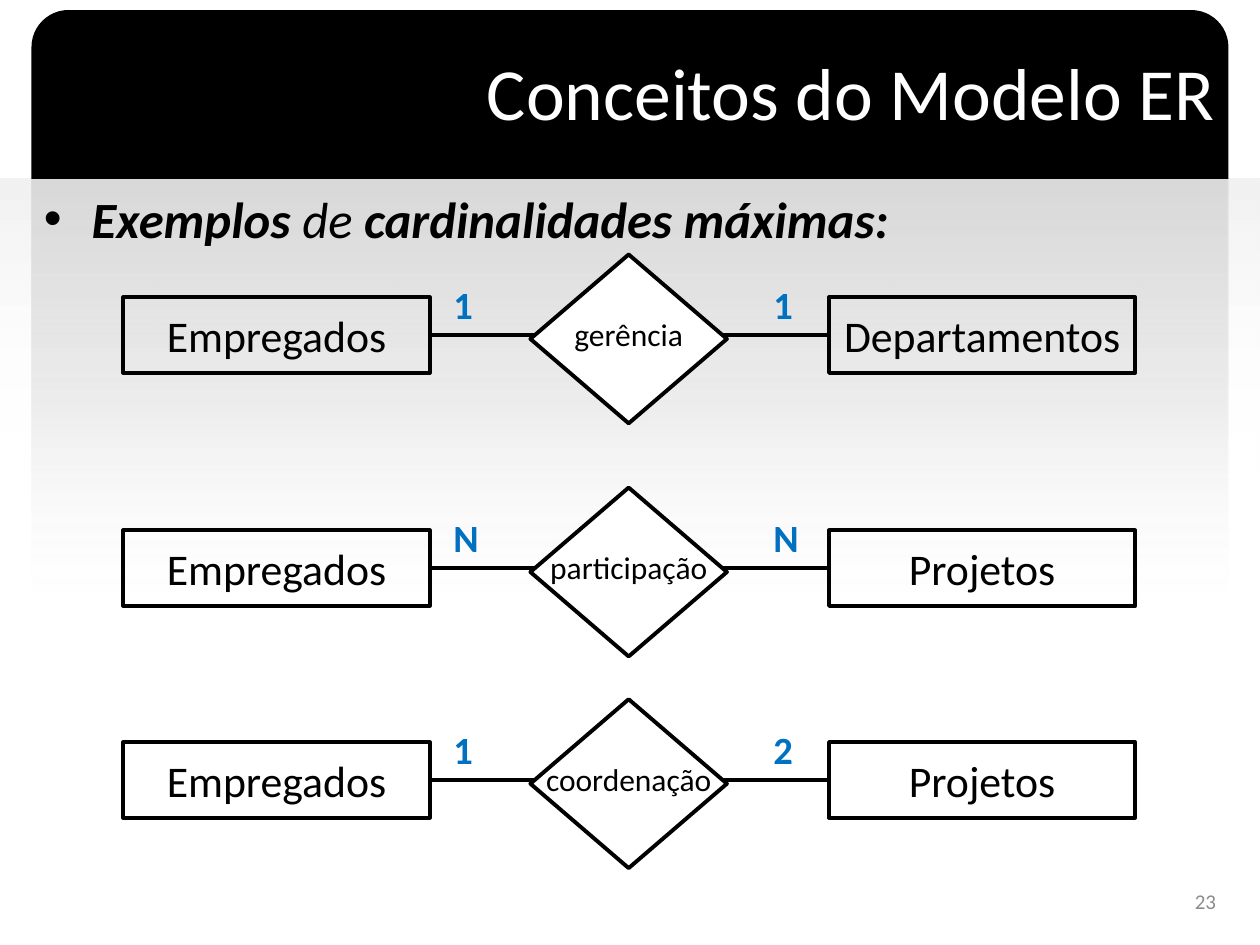
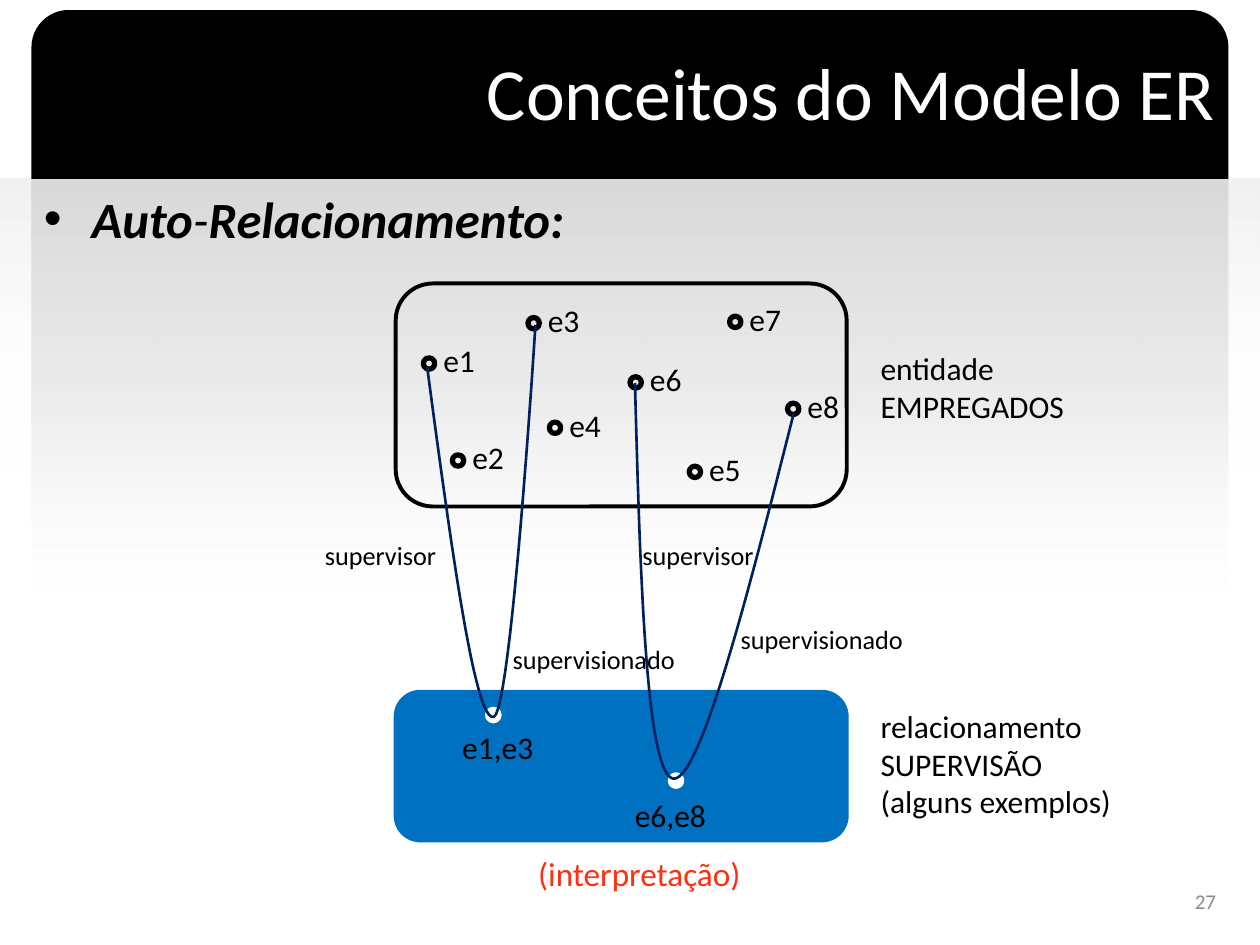
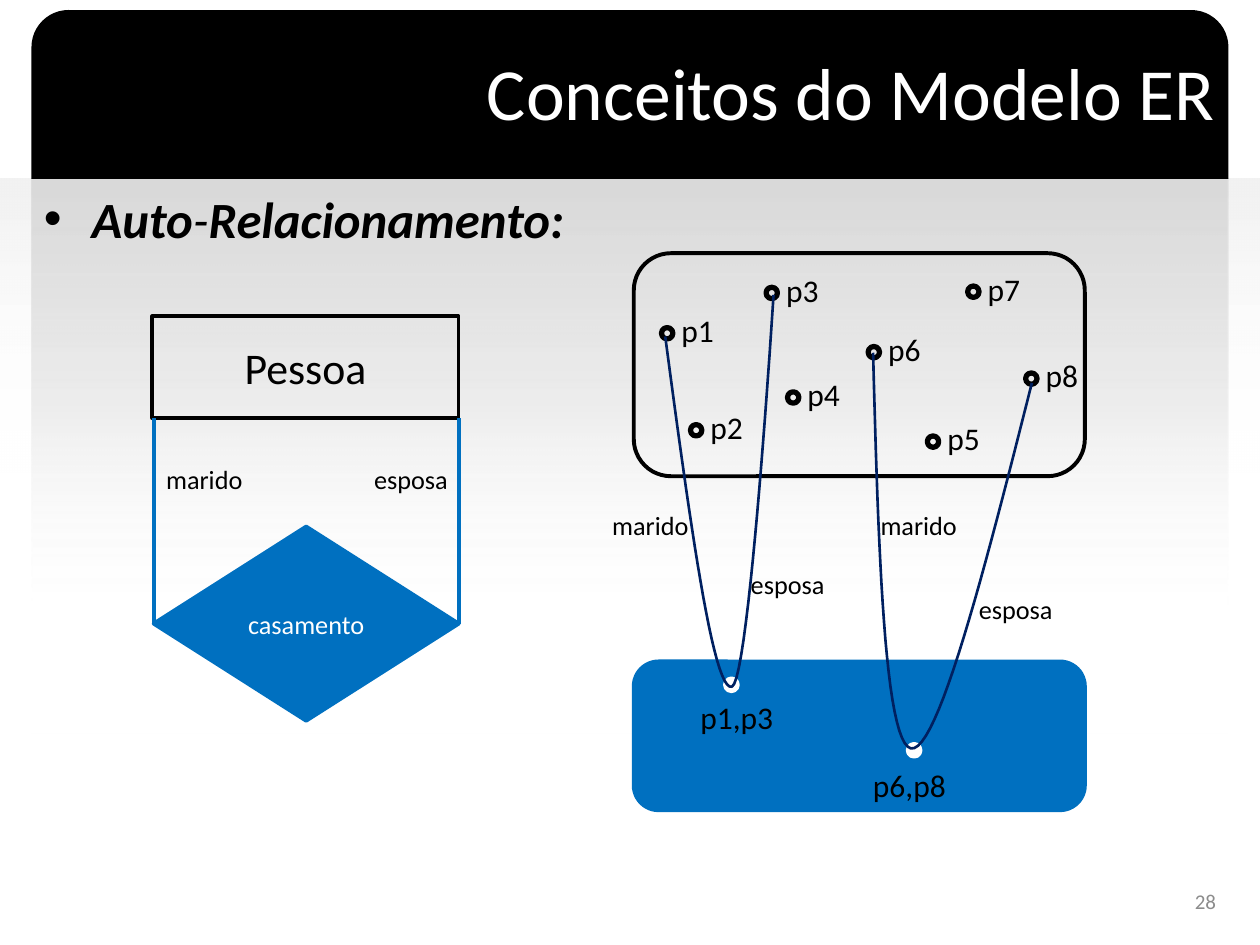
"""Build three slides on ER model concepts: cardinalities and self-relationships."""
import pptx
import pptx.dml.color
import pptx.enum.shapes
import pptx.enum.text
import pptx.oxml.ns
import pptx.util
from lxml import etree

PX = 9144
FONT = "Calibri"
BLACK, WHITE, BLUE, NAVY, RED, GREY = "000000", "FFFFFF", "0070C0", "002060", "FF2F12", "8C8C8C"
TITLE = "Conceitos do Modelo ER"

SHAPE = pptx.enum.shapes.MSO_SHAPE
ALIGN = pptx.enum.text.PP_ALIGN
ANCHOR = pptx.enum.text.MSO_ANCHOR
qn = pptx.oxml.ns.qn

WIDE_FADE = [(0, "F2F2F2", 100), (100, WHITE, 0)]
PANEL_FADE = [(0, "D9D9D9", 100), (40, "DFDFDF", 55), (78, WHITE, 10), (100, WHITE, 0)]

CARDINALITY_HEAD = [("Exemplos ", True), ("de ", False), ("cardinalidades máximas:", True)]
SELF_HEAD = [("Auto", True), ("-", False), ("Relacionamento:", True)]

RELATIONSHIPS = [
    (266, "Empregados", "1", "gerência", "1", "Departamentos"),
    (451, "Empregados", "N", "participação", "N", "Projetos"),
    (619, "Empregados", "1", "coordenação", "2", "Projetos"),
]

MEMBERS = [(1, 336, 284), (2, 359, 361), (3, 419, 252), (4, 436, 335),
           (6, 500, 299), (5, 547, 370), (7, 579, 251), (8, 625, 320)]
PAIRS = [((1, 3), (387, 563), (357, 573)), ((6, 8), (532, 615), (494, 627))]
CURVES = [
    [(339, 291), (358, 433), (377, 574), (392, 569), (406, 563), (425, 258), (425, 258)],
    [(504, 304), (508, 459), (513, 613), (534, 618), (555, 622), (593, 475), (630, 328)],
]
SUPERVISION_ROLES = [("supervisor", 248, 423, 110), ("supervisionado", 397, 506, 150),
                     ("supervisor", 500, 423, 110), ("supervisionado", 578, 490, 150)]
MARRIAGE_ROLES = [("marido", 287, 423, 81), ("esposa", 397, 470, 79),
                  ("marido", 500, 423, 81), ("esposa", 578, 490, 79)]
SIDE_NOTES = [(["entidade", "EMPREGADOS"], (689, 272, 167, 71)),
              (["relacionamento", "SUPERVISÃO", "(alguns exemplos)"], (689, 556, 205, 101))]


def rgb(value):
    """Turn a hex string into a colour."""
    return pptx.dml.color.RGBColor.from_string(value)


def emu(values):
    """Scale px lengths to EMU."""
    return [v * PX for v in values]


def stroke(line, color, weight):
    """Set the colour and width of a line."""
    line.color.rgb = rgb(color)
    line.width = pptx.util.Pt(weight)


def write(sp, paragraphs, size, color=BLACK, align=ALIGN.LEFT, anchor=ANCHOR.TOP, wrap=True, **style):
    """Fill a shape with paragraphs, each a string or a list of (text, bold) runs."""
    tf = sp.text_frame
    for name, value in {"word_wrap": wrap, "vertical_anchor": anchor}.items():
        setattr(tf, name, value)
    for i, content in enumerate(paragraphs):
        p = tf.paragraphs[0] if i == 0 else tf.add_paragraph()
        p.alignment = align
        runs = [(content, style.get("bold"))] if isinstance(content, str) else content
        for text, bold in runs:
            r = p.add_run()
            r.text = text
            font = {"name": FONT, "size": pptx.util.Pt(size), **style, "bold": bold}
            for name, value in font.items():
                setattr(r.font, name, value)
            r.font.color.rgb = rgb(color)


def label(s, box, paragraphs, size, **style):
    """Add a text box."""
    sp = s.shapes.add_textbox(*emu(box))
    write(sp, paragraphs, size, **style)
    return sp


def shape(s, kind, box, fill=None, line=None, weight=2.25):
    """Add a preset shape with an optional fill and outline."""
    sp = s.shapes.add_shape(kind, *emu(box))
    sp.shadow.inherit = False
    if fill:
        sp.fill.solid()
        sp.fill.fore_color.rgb = rgb(fill)
    else:
        sp.fill.background()
    if line:
        stroke(sp.line, line, weight)
    else:
        sp.line.fill.background()
    return sp


def named_box(s, kind, box, text, size=25, color=BLACK, fill=None, line=BLACK):
    """Add an outlined shape with centred text."""
    sp = shape(s, kind, box, fill, line)
    write(sp, [text], size, color, ALIGN.CENTER, ANCHOR.MIDDLE)


def fade(s, box, stops):
    """Add a rectangle that fades downwards through (position, colour, opacity) stops."""
    sp = shape(s, SHAPE.RECTANGLE, box)
    sp.fill.gradient()
    sp.fill.gradient_angle = 270
    gs_list = sp._element.spPr.find(qn("a:gradFill")).find(qn("a:gsLst"))
    for gs in list(gs_list):
        gs_list.remove(gs)
    for position, color, opacity in stops:
        gs = etree.SubElement(gs_list, qn("a:gs"), pos=str(position * 1000))
        clr = etree.SubElement(gs, qn("a:srgbClr"), val=color)
        etree.SubElement(clr, qn("a:alpha"), val=str(opacity * 1000))


def connect(s, ends, color=BLACK):
    """Add a straight connector."""
    line = s.shapes.add_connector(pptx.enum.shapes.MSO_CONNECTOR.STRAIGHT, *emu(ends))
    stroke(line.line, color, 2.25)
    etree.SubElement(line._element.spPr, qn("a:effectLst"))


def curve(s, points, steps=24):
    """Draw two joined cubic curves through seven points."""
    track = []
    for a, b, c, d in (points[:4], points[3:]):
        for i in range(1, steps + 1):
            t = i / steps
            u = 1 - t
            weights = (u ** 3, 3 * u * u * t, 3 * u * t * t, t ** 3)
            track.append(tuple(sum(w * q[axis] for w, q in zip(weights, (a, b, c, d))) * PX
                               for axis in (0, 1)))
    builder = s.shapes.build_freeform(*emu(points[0]), scale=1.0)
    builder.add_line_segments(track, close=False)
    sp = builder.convert_to_shape()
    sp.shadow.inherit = False
    sp.fill.background()
    stroke(sp.line, NAVY, 1.5)


def new_slide(prs, heading, number):
    """Add a slide with the shared backdrop, title, heading and number."""
    s = prs.slides.add_slide(prs.slide_layouts[6])
    fade(s, (0, 142, 1000, 233), WIDE_FADE)
    fade(s, (25, 142, 950, 442), PANEL_FADE)
    band = shape(s, SHAPE.ROUND_2_SAME_RECTANGLE, (25, 8, 950, 134), BLACK)
    band.adjustments[0] = 0.22
    label(s, (25, 10, 949, 125), [TITLE], 42, color=WHITE, align=ALIGN.RIGHT, anchor=ANCHOR.MIDDLE)
    body = s.shapes.add_textbox(*emu((25, 144, 950, 541)))
    pPr = body.text_frame.paragraphs[0]._p.get_or_add_pPr()
    for name, value in {"marL": 38 * PX, "indent": -38 * PX}.items():
        pPr.set(name, str(value))
    etree.SubElement(pPr, qn("a:buFont"), typeface="Arial")
    etree.SubElement(pPr, qn("a:buChar"), char="•")
    write(body, [heading], 29, align=ALIGN.JUSTIFY, italic=True)
    label(s, (742, 695, 233, 40), [str(number)], 12, color=GREY, align=ALIGN.RIGHT, anchor=ANCHOR.MIDDLE)
    return s


def relationship(s, y, left, left_max, name, right_max, right):
    """Draw two entities joined by a relationship diamond, centred on y."""
    connect(s, (342, y, 658, y))
    for x, entity in ((98, left), (658, right)):
        named_box(s, SHAPE.RECTANGLE, (x, y - 30, 243, 60), entity)
    shape(s, SHAPE.DIAMOND, (421, y - 64, 156, 134), WHITE, BLACK)
    for x, maximum in ((350, left_max), (604, right_max)):
        label(s, (x, y - 48, 50, 47), [maximum], 22, color=BLUE, bold=True)
    label(s, (419, y - 21, 160, 40), [name], 18, align=ALIGN.CENTER, wrap=False)


def instances(s, letter, roles, dx=0, dy=0):
    """Draw an entity set, its relationship set and the curves that link them."""
    shape(s, SHAPE.ROUNDED_RECTANGLE, (314 + dx, 225 + dy, 358, 177), None, BLACK)
    for number, x, y in MEMBERS:
        shape(s, SHAPE.OVAL, (x + dx, y + dy, 9, 9), None, BLACK, 3)
        label(s, (x + dx + 6, y + dy - 18, 50, 40), [f"{letter}{number}"], 18)
    shape(s, SHAPE.ROUNDED_RECTANGLE, (314 + dx, 549 + dy, 358, 118), BLUE, BLUE)
    for pair, dot, (x, y) in PAIRS:
        shape(s, SHAPE.OVAL, (dot[0] + dx, dot[1] + dy, 9, 9), WHITE, WHITE, 3)
        label(s, (x + dx, y + dy, 88, 40), [",".join(f"{letter}{n}" for n in pair)], 18)
    for points in CURVES:
        curve(s, [(x + dx, y + dy) for x, y in points])
    for role, x, y, width in roles:
        label(s, (x + dx, y + dy, width, 35), [role], 15, wrap=False)


def main():
    """Build and save the presentation."""
    prs = pptx.Presentation()
    prs.slide_width, prs.slide_height = emu((1000, 750))

    s = new_slide(prs, CARDINALITY_HEAD, 23)
    for row in RELATIONSHIPS:
        relationship(s, *row)

    s = new_slide(prs, SELF_HEAD, 27)
    instances(s, "e", SUPERVISION_ROLES)
    for lines, box in SIDE_NOTES:
        label(s, box, lines, 18, wrap=False)
    label(s, (416, 672, 183, 42), ["(interpretação)"], 19, color=RED, align=ALIGN.CENTER, wrap=False)

    s = new_slide(prs, SELF_HEAD, 28)
    instances(s, "p", MARRIAGE_ROLES, 189, -24)
    named_box(s, SHAPE.RECTANGLE, (121, 251, 243, 81), "Pessoa")
    named_box(s, SHAPE.DIAMOND, (122, 418, 242, 154), "casamento", 15, WHITE, BLUE, BLUE)
    for x, role, left, width in ((122, "marido", 122, 81), (364, "esposa", 287, 79)):
        connect(s, (x, 495, x, 332), BLUE)
        label(s, (left, 363, width, 35), [role], 15, wrap=False)

    prs.save("out.pptx")


if __name__ == "__main__":
    main()
